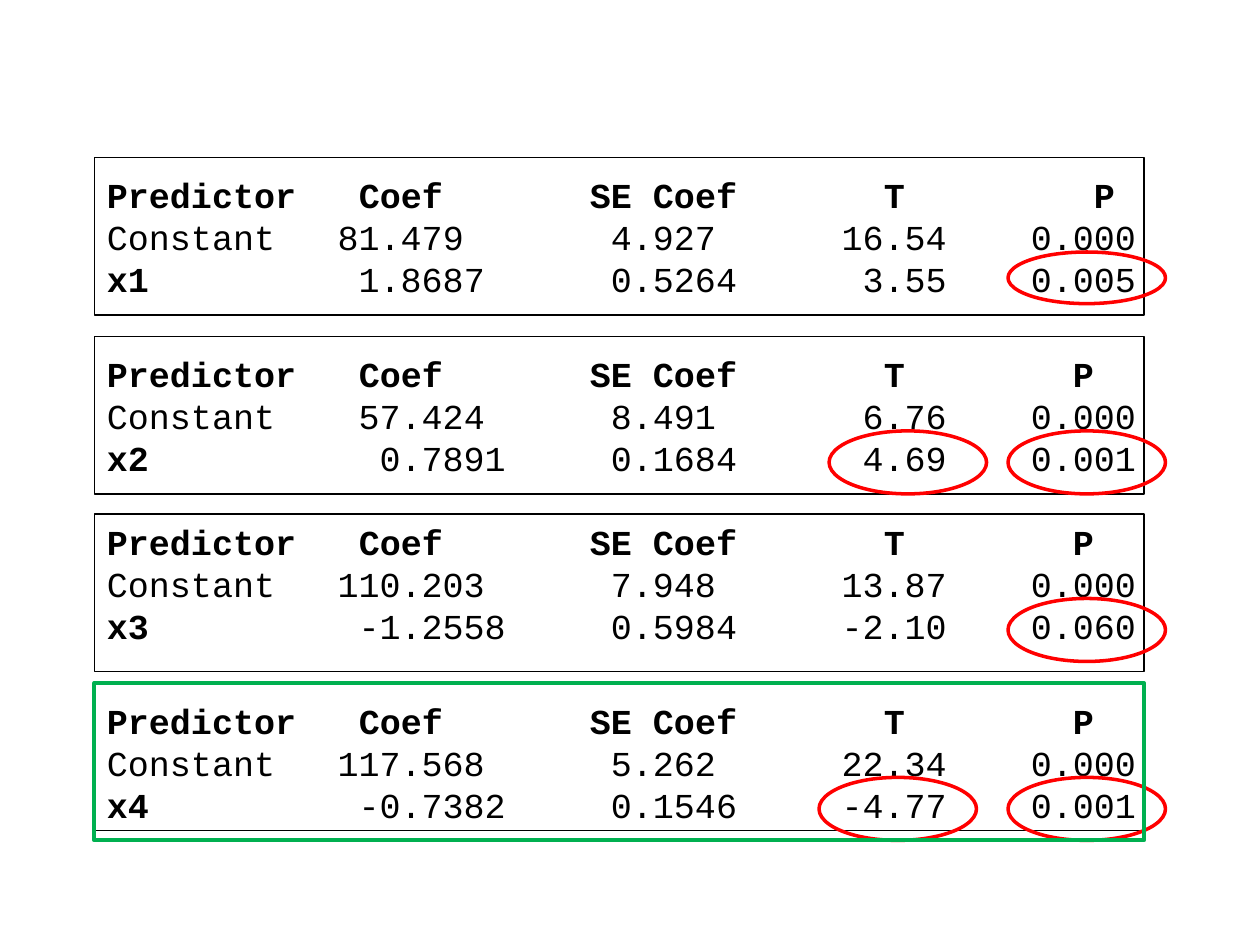
import pptx
import pptx.dml.color
import pptx.enum.shapes
import pptx.oxml
import pptx.oxml.ns
import pptx.util
from pptx.util import Inches

BLACK = pptx.dml.color.RGBColor(0x00, 0x00, 0x00)
RED = pptx.dml.color.RGBColor(0xFF, 0x00, 0x00)
GREEN = pptx.dml.color.RGBColor(0x00, 0xB0, 0x50)
FONT = "Courier New"
CHARACTER_WIDTH = 1 / 6  # inches, at 20 pt
LEFT, WIDTH = 0.75, 8.33
RECTANGLE = pptx.enum.shapes.MSO_SHAPE.RECTANGLE
OVAL = pptx.enum.shapes.MSO_SHAPE.OVAL

HEADER = ["Predictor", "Coef", "SE Coef", "T", "P"]
# Frame top and height, text offset, coefficient shift and P column (characters),
# rows, and marks as (left, top offset, height)
REGRESSIONS = [
    (1.25, 1.25, 0.08, -1, 47,
     [["Constant", "81.479", "4.927", "16.54", "0.000"],
      ["x1", "1.8687", "0.5264", "3.55", "0.005"]],
     [(8, 0.75, 0.41)]),
    (2.67, 1.25, 0.08, 0, 46,
     [["Constant", "57.424", "8.491", "6.76", "0.000"],
      ["x2", "0.7891", "0.1684", "4.69", "0.001"]],
     [(8, 0.75, 0.5), (6.58, 0.75, 0.5)]),
    (4.08, 1.25, 0, 0, 46,
     [["Constant", "110.203", "7.948", "13.87", "0.000"],
      ["x3", "-1.2558", "0.5984", "-2.10", "0.060"]],
     [(8, 0.67, 0.5)]),
    (5.42, 1.17, 0.08, 0, 46,
     [["Constant", "117.568", "5.262", "22.34", "0.000"],
      ["x4", "-0.7382", "0.1546", "-4.77", "0.001"]],
     [(8, 0.75, 0.5), (6.5, 0.75, 0.5)]),
]


def add_outline(slide, kind, left, top, width, height, color, weight):
    shape = slide.shapes.add_shape(
        kind, Inches(left), Inches(top), Inches(width), Inches(height))
    shape.shadow.inherit = False
    shape.fill.background()
    shape.line.color.rgb = color
    shape.line.width = pptx.util.Pt(weight)


def add_text(paragraph, text, size=20, bold=False, color=BLACK):
    run = paragraph.add_run()
    run.text = text
    run.font.name = FONT
    run.font.size = pptx.util.Pt(size)
    run.font.bold = bold
    run.font.color.rgb = color


def add_tab_stops(paragraph, stops):
    """Set tab stops given as (alignment, column in characters)."""
    properties = paragraph._p.get_or_add_pPr()
    tab_list = pptx.oxml.parse_xml(
        "<a:tabLst %s/>" % pptx.oxml.ns.nsdecls("a"))
    for alignment, column in stops:
        tab = pptx.oxml.parse_xml("<a:tab %s/>" % pptx.oxml.ns.nsdecls("a"))
        tab.set("pos", str(Inches(column * CHARACTER_WIDTH)))
        tab.set("algn", alignment)
        tab_list.append(tab)
    properties.append(tab_list)


def add_regression(slide, top, height, text_offset, coef_shift, p_column,
                   rows, marks):
    # Coefficient listing
    box = slide.shapes.add_textbox(
        Inches(LEFT), Inches(top + text_offset), Inches(8.58), Inches(1.1))
    frame = box.text_frame
    frame.word_wrap = True
    for index, row in enumerate([HEADER] + rows):
        paragraph = frame.paragraphs[0] if index == 0 else frame.add_paragraph()
        if index == 0:
            stops = [("l", 12), ("l", 23), ("l", 37), ("l", p_column)]
        else:
            stops = [("r", 17 + index + coef_shift), ("l", 24),
                     ("r", 40), ("l", 44)]
        add_tab_stops(paragraph, stops)
        add_text(paragraph, row[0], bold=index != 1)
        add_text(paragraph, "\t" + "\t".join(row[1:]), bold=index == 0)

    # Frame and marks around the notable values
    add_outline(slide, RECTANGLE, LEFT, top, WIDTH, height, BLACK, 0.75)
    for mark_left, mark_offset, mark_height in marks:
        add_outline(slide, OVAL, mark_left, top + mark_offset, 1.25,
                    mark_height, RED, 2)


def main():
    presentation = pptx.Presentation()
    presentation.slide_width = Inches(10)
    presentation.slide_height = Inches(7.5)
    slide = presentation.slides.add_slide(presentation.slide_layouts[6])
    for regression in REGRESSIONS:
        add_regression(slide, *regression)
    # Highlight of the chosen predictor
    add_outline(slide, RECTANGLE, LEFT, 5.42, WIDTH, 1.25, GREEN, 2.25)
    presentation.save("out.pptx")


if __name__ == "__main__":
    main()
